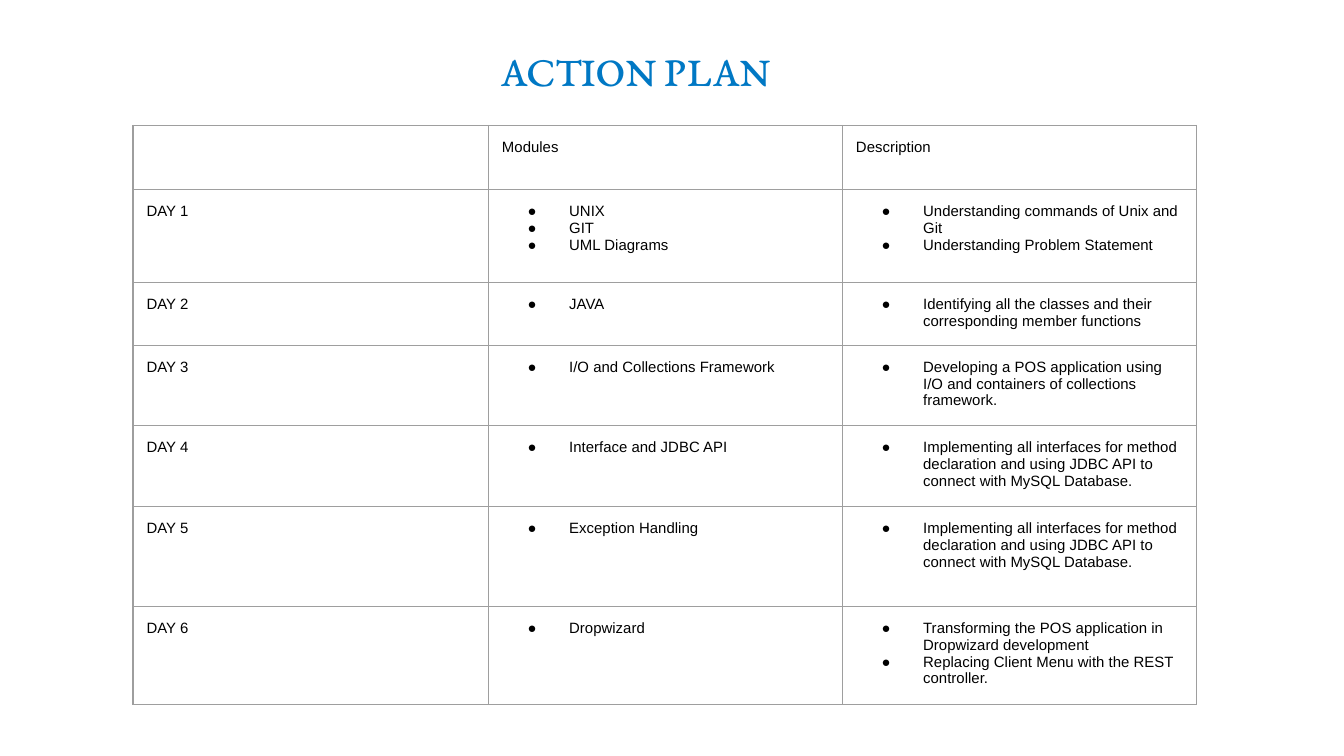
import pptx
import pptx.util
import pptx.dml.color
import pptx.oxml.ns
import lxml.etree

WIDE = pptx.util.Inches(10)
HIGH = WIDE * 9 // 16
PAD = pptx.util.Inches(0.1)
COLS = [26.45, 26.34, 26.34]
ROWS = [8.47, 12.31, 7.94, 10.26, 10.26, 13.23, 12.44]

JDBC = ("Implementing all interfaces for method declaration and using "
        "JDBC API to connect with MySQL Database.")
HEAD = ["", "Modules", "Description"]
PLAN = [
    (["UNIX", "GIT", "UML Diagrams"],
     ["Understanding commands of Unix and Git",
      "Understanding Problem Statement"]),
    (["JAVA"],
     ["Identifying all the classes and their corresponding member functions"]),
    (["I/O and Collections Framework"],
     ["Developing a POS application using I/O and containers of "
      "collections framework."]),
    (["Interface and JDBC API"], [JDBC]),
    (["Exception Handling"], [JDBC]),
    (["Dropwizard"],
     ["Transforming the POS application in Dropwizard development",
      "Replacing Client Menu with the REST controller."]),
]


def across(share):
    return round(WIDE * share / 100)


def down(share):
    return round(HIGH * share / 100)


def color(code):
    return pptx.dml.color.RGBColor.from_string(code)


def node(parent, tag, **attrs):
    return lxml.etree.SubElement(parent, pptx.oxml.ns.qn(tag), attrs)


def style(para, face, size, code):
    for run in para.runs:
        run.font.name = face
        run.font.size = pptx.util.Pt(size)
        run.font.bold = False
        run.font.color.rgb = color(code)
    node(para._p, "a:endParaRPr", sz=str(size * 100))


def inset(box):
    box.margin_left = box.margin_right = PAD
    box.margin_top = box.margin_bottom = PAD


def title(slide, text):
    box = slide.shapes.add_textbox(
        across(36.25), down(4), across(24.6), down(8.9))
    frame = box.text_frame
    frame.word_wrap = True
    inset(frame)
    frame.text = text
    style(frame.paragraphs[0], "EB Garamond", 23, "0078C4")


def bullet(para):
    props = para._p.get_or_add_pPr()
    props.set("marL", str(pptx.util.Inches(0.5)))
    props.set("indent", str(pptx.util.Inches(-0.31)))
    node(node(props, "a:buClr"), "a:srgbClr", val="000000")
    node(props, "a:buSzPts", val="800")
    node(props, "a:buFont", typeface="Arial")
    node(props, "a:buChar", char="●")


def border(cell):
    props = cell._tc.get_or_add_tcPr()
    for side in "LRTB":
        line = node(props, "a:ln" + side, w=str(pptx.util.Pt(0.75)))
        node(node(line, "a:solidFill"), "a:srgbClr", val="9E9E9E")


def fill(cell, lines, listed):
    border(cell)
    cell.fill.background()
    inset(cell)
    cell.text_frame.text = "\n".join(lines)
    for para in cell.text_frame.paragraphs:
        if listed:
            bullet(para)
        style(para, "Arial", 8, "000000")


def grid(slide):
    table = slide.shapes.add_table(
        len(ROWS), len(COLS), across(9.9), down(16.6),
        across(sum(COLS)), down(sum(ROWS))).table
    table.first_row = False
    table.horz_banding = False
    for col, share in zip(table.columns, COLS):
        col.width = across(share)
    for row, share in zip(table.rows, ROWS):
        row.height = down(share)
    for c, text in enumerate(HEAD):
        fill(table.cell(0, c), [text], False)
    for day, (mods, notes) in enumerate(PLAN, 1):
        fill(table.cell(day, 0), [f"DAY {day}"], False)
        fill(table.cell(day, 1), mods, True)
        fill(table.cell(day, 2), notes, True)


def main():
    deck = pptx.Presentation()
    deck.slide_width = WIDE
    deck.slide_height = HIGH
    slide = deck.slides.add_slide(deck.slide_layouts[6])
    title(slide, "ACTION PLAN")
    grid(slide)
    deck.save("out.pptx")


if __name__ == "__main__":
    main()
